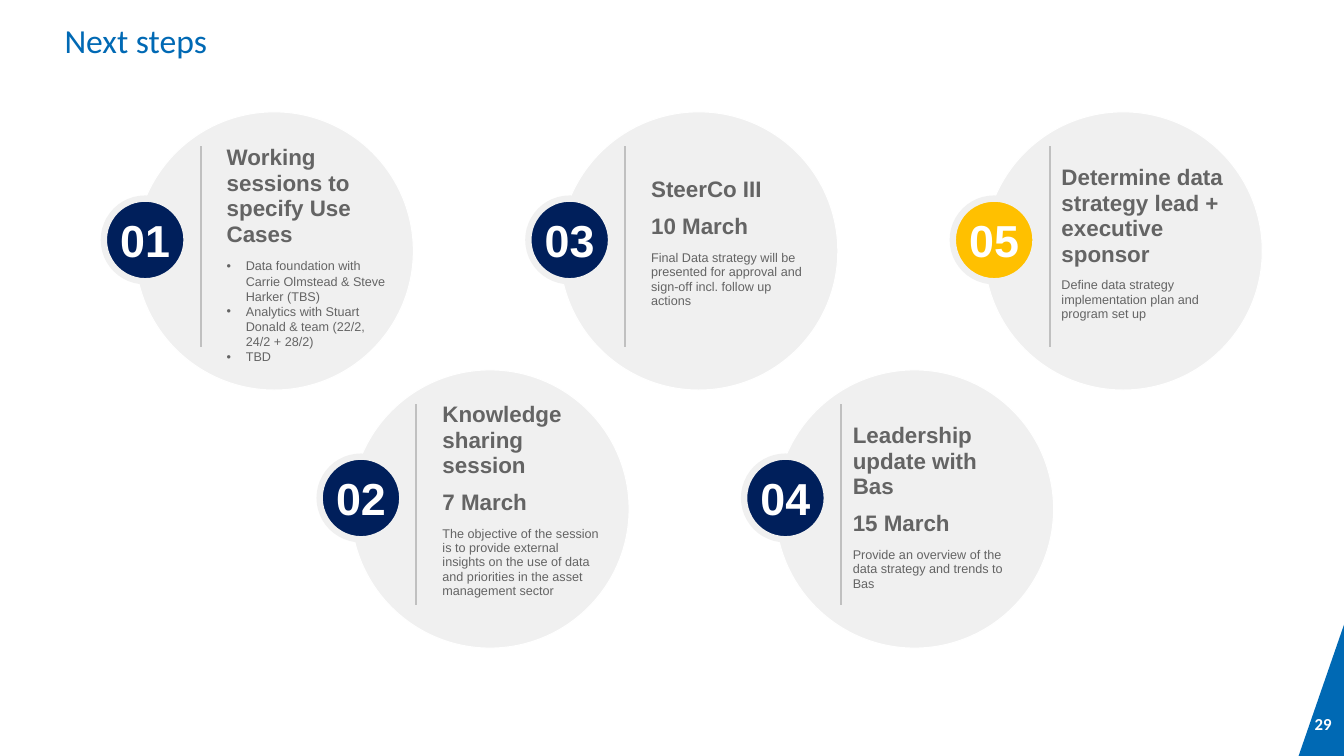
import pptx
import pptx.util
import pptx.dml.color
import pptx.enum.shapes
import pptx.enum.text
import pptx.oxml.ns
from lxml import etree

Inches, Pt = pptx.util.Inches, pptx.util.Pt
SHAPE = pptx.enum.shapes.MSO_SHAPE
ALIGN, ANCHOR = pptx.enum.text.PP_ALIGN, pptx.enum.text.MSO_ANCHOR

COLORS = {"blue": "0069B4", "navy": "001F5B", "gold": "FFC000", "disc": "F0F0F0",
          "text": "646464", "rule": "C0C0C0", "white": "FFFFFF"}

DISC, BADGE = 2.76, 0.82
TOP_ROW, BOTTOM_ROW = 1.11, 3.67
FIRST_LEFT, PITCH, BOTTOM_SHIFT = 1.34, 4.21, 2.14

# number, badge colour, text offset (x, y) and width, headings, body, bulleted
STEPS = [
    ("01", "navy", 0.81, 0.28, 1.78, ["Working sessions to specify Use Cases"],
     ["Data foundation with Carrie Olmstead & Steve Harker (TBS)",
      "Analytics with Stuart Donald & team (22/2, 24/2 + 28/2)", "TBD"], True),
    ("02", "navy", 0.81, 0.27, 1.78, ["Knowledge sharing session", "7 March"],
     ["The objective of the session is to provide external insights on the use of data "
      "and priorities in the asset management sector"], False),
    ("03", "navy", 0.81, 0.6, 1.78, ["SteerCo III", "10 March"],
     ["Final Data strategy will be presented for approval and sign-off incl. "
      "follow up actions"], False),
    ("04", "navy", 0.67, 0.48, 1.87, ["Leadership update with Bas", "15 March"],
     ["Provide an overview of the data strategy and trends to Bas"], False),
    ("05", "gold", 0.67, 0.48, 1.87, ["Determine data strategy lead + executive sponsor"],
     ["Define data strategy implementation plan and program set up"], False),
]


def rgb(name):
    return pptx.dml.color.RGBColor.from_string(COLORS[name])


def style_text(p, size, color, font="Arial", bold=False):
    for r in p.runs:
        r.font.name, r.font.size, r.font.bold = font, Pt(size), bold
        r.font.color.rgb = rgb(color)


def add_textbox(s, x, y, w, h, wrap=True):
    tf = s.shapes.add_textbox(Inches(x), Inches(y), Inches(w), Inches(h)).text_frame
    tf.word_wrap = wrap
    return tf


def add_circle(s, x, y, size, fill, line, width):
    sp = s.shapes.add_shape(SHAPE.OVAL, Inches(x), Inches(y), Inches(size), Inches(size))
    sp.shadow.inherit = False
    sp.fill.solid()
    sp.fill.fore_color.rgb = rgb(fill)
    sp.line.color.rgb = rgb(line)
    sp.line.width = Pt(width)
    return sp


def add_bullet(p):
    pPr = p._p.get_or_add_pPr()
    pPr.set("marL", str(Inches(0.19)))
    pPr.set("indent", str(Inches(-0.19)))
    etree.SubElement(pPr, pptx.oxml.ns.qn("a:buFont")).set("typeface", "Arial")
    etree.SubElement(pPr, pptx.oxml.ns.qn("a:buChar")).set("char", "•")


def add_title(s, x, y, w, h):
    tf = add_textbox(s, x, y, w, h)
    tf.margin_left = tf.margin_right = tf.margin_top = 0
    tf.margin_bottom = Inches(0.08)
    p = tf.paragraphs[0]
    p.text = "Next steps"
    p.line_spacing = 0.9
    style_text(p, 24, "blue", "Calibri")


def add_page_corner(s, x, y, w, h):
    # Blue wedge
    fb = s.shapes.build_freeform(Inches(x), Inches(y + h))
    fb.add_line_segments([(Inches(x + w), Inches(y)), (Inches(x + w), Inches(y + h))])
    sp = fb.convert_to_shape()
    sp.shadow.inherit = False
    sp.fill.solid()
    sp.fill.fore_color.rgb = rgb("blue")
    sp.line.fill.background()
    # Page number
    tf = add_textbox(s, x + 0.06, y + 0.86, 0.4, 0.3, wrap=False)
    tf.text = "29"
    style_text(tf.paragraphs[0], 12, "white", "Calibri", True)


def add_step(s, x, y, step):
    number, color, text_x, text_y, text_w, headings, body, bulleted = step
    add_circle(s, x, y, DISC, "disc", "white", 0.75)

    # Number badge
    badge = add_circle(s, x - 0.31, y + 0.86, BADGE, color, "disc", 4.5)
    tf = badge.text_frame
    tf.margin_left = tf.margin_right = tf.margin_top = tf.margin_bottom = 0
    tf.vertical_anchor = ANCHOR.MIDDLE
    tf.text = number
    tf.paragraphs[0].alignment = ALIGN.CENTER
    style_text(tf.paragraphs[0], 32, "white", bold=True)

    # Vertical rule
    rule = s.shapes.add_connector(pptx.enum.shapes.MSO_CONNECTOR.STRAIGHT,
                                  Inches(x + 0.65), Inches(y + 0.34),
                                  Inches(x + 0.65), Inches(y + 2.33))
    rule.line.color.rgb = rgb("rule")
    rule.line.width = Pt(1.5)
    etree.SubElement(rule._element.spPr, pptx.oxml.ns.qn("a:effectLst"))

    # Headings and body
    tf = add_textbox(s, x + text_x, y + text_y, text_w, DISC - 2 * text_y)
    for i, text in enumerate(headings + body):
        p = tf.add_paragraph() if i else tf.paragraphs[0]
        p.text = text
        is_heading = i < len(headings)
        if bulleted and not is_heading:
            add_bullet(p)
        else:
            p.line_spacing = 0.95
            p.space_after = Pt(8)
        style_text(p, 16 if is_heading else 9, "text", bold=is_heading)


def main():
    prs = pptx.Presentation()
    prs.slide_width, prs.slide_height = Inches(13.33), Inches(7.5)
    s = prs.slides.add_slide(prs.slide_layouts[6])
    add_page_corner(s, 12.88, 6.17, 0.46, 1.33)
    add_title(s, 0.64, 0.24, 12, 0.51)
    # Steps alternate between the two rows
    for i, step in enumerate(STEPS):
        column, is_bottom = divmod(i, 2)
        x = FIRST_LEFT + column * PITCH + is_bottom * BOTTOM_SHIFT
        add_step(s, x, BOTTOM_ROW if is_bottom else TOP_ROW, step)
    prs.save("out.pptx")


if __name__ == "__main__":
    main()
